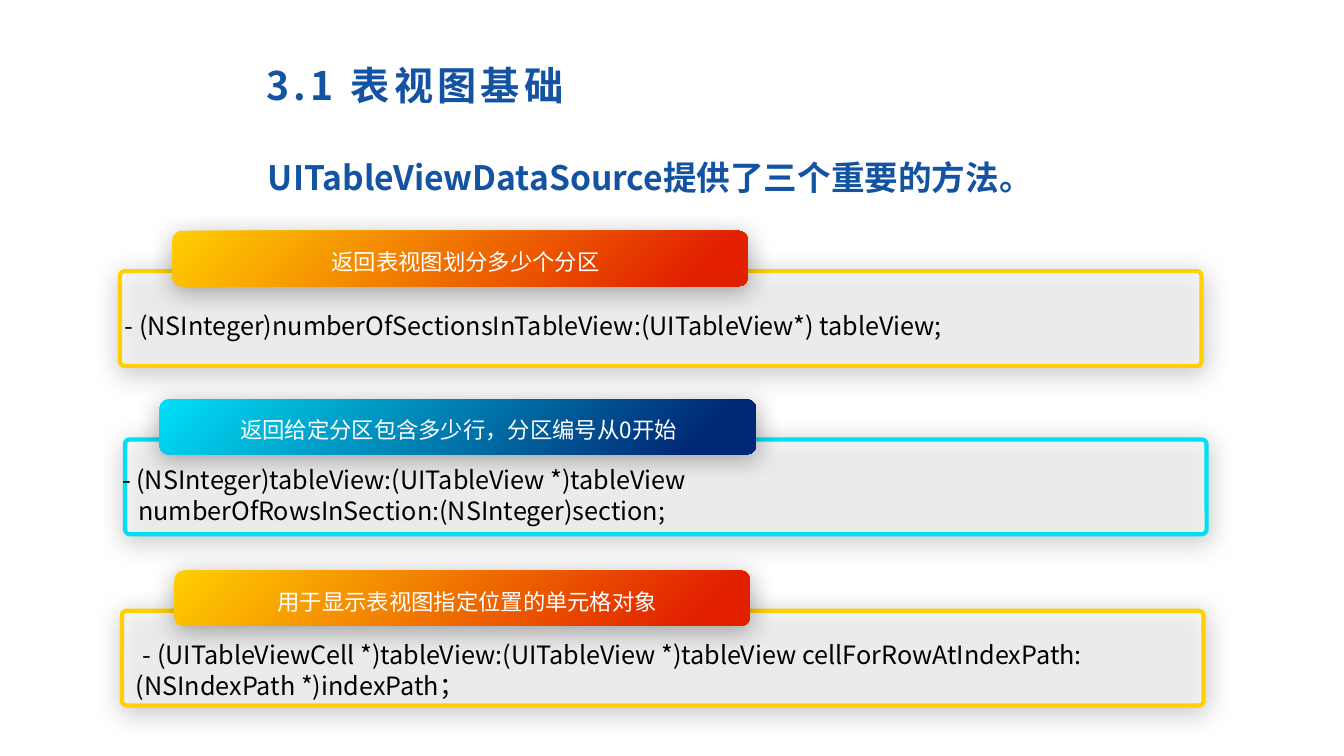
from lxml.etree import SubElement
from pptx import Presentation
from pptx.dml.color import RGBColor
from pptx.enum.shapes import MSO_SHAPE
from pptx.enum.text import MSO_ANCHOR, MSO_AUTO_SIZE, PP_ALIGN
from pptx.oxml.ns import qn
from pptx.util import Pt

FONT = "Noto Sans CJK SC"
WHITE = RGBColor(0xFF, 0xFF, 0xFF)
BLACK = RGBColor(0x00, 0x00, 0x00)
BLUE = RGBColor(0x13, 0x53, 0xA2)
YELLOW = RGBColor(0xFF, 0xCF, 0x01)
RED = RGBColor(0xE2, 0x20, 0x00)
CYAN = RGBColor(0x00, 0xDF, 0xF6)
NAVY = RGBColor(0x00, 0x27, 0x74)

HEADING = {"size": Pt(28), "bold": True, "color": BLUE}
SUBTITLE = {"size": Pt(24), "bold": True, "color": BLUE}
LABEL = {"size": Pt(16), "bold": False, "color": WHITE}
CODE = {"size": Pt(18), "bold": False, "color": BLACK}

FRAME_SIZE = (772.6, 67.7)
TAB_HEIGHT = 39.6
TAB_RISE = 28.8  # how far a tab stands above its frame
LABEL_DROP = 6

# Code lines are (first-line indent, text); label and code are (left, width).
METHODS = [
    {"frame": (85.7, 193.7), "tab": (123.1, 411.1), "colors": (YELLOW, RED),
     "label": (132.5, 400.3), "title": "返回表视图划分多少个分区",
     "code": (77, 813.6), "code_top": 217.4,
     "lines": [(5, "- (NSInteger)numberOfSectionsInTableView:(UITableView*) tableView;")]},
    {"frame": (89.3, 313.9), "tab": (113.8, 426.2), "colors": (CYAN, NAVY),
     "label": (75.2, 504.7), "title": "返回给定分区包含多少行，分区编号从0开始",
     "code": (75.6, 850.3), "code_top": 327.6,
     "lines": [(4.5, "- (NSInteger)tableView:(UITableView *)tableView"),
               (16, "numberOfRowsInSection:(NSInteger)section;")]},
    {"frame": (87.1, 436.3), "tab": (124.6, 411.1), "colors": (YELLOW, RED),
     "label": (74, 519.8), "title": "用于显示表视图指定位置的单元格对象",
     "code": (90, 753.8), "code_top": 452.9,
     "lines": [(5, "- (UITableViewCell *)tableView:(UITableView *)tableView "
                   "cellForRowAtIndexPath:(NSIndexPath *)indexPath；")]},
]


class SlideBuilder:
    def __init__(self, slide):
        self.slide = slide
        self.shapes = slide.shapes

    def start_group(self):
        self.shapes = self.slide.shapes.add_group_shape().shapes

    def add_run(self, p, text, style, spacing=0):
        """Add one styled run; spacing is the letter spacing in points."""
        r = p.add_run()
        r.text = text
        r.font.name = FONT
        for name, value in style.items():
            if name == "color":
                r.font.color.rgb = value
            else:
                setattr(r.font, name, value)
        rPr = r.font._element
        SubElement(rPr, qn("a:ea")).set("typeface", FONT)
        if spacing:
            rPr.set("spc", str(spacing * 100))

    def title(self, text, box):
        sp = self.slide.shapes.title
        for name, value in zip(("left", "top", "width", "height"), box):
            setattr(sp, name, Pt(value))
        tf = sp.text_frame
        tf.vertical_anchor = MSO_ANCHOR.MIDDLE
        tf.auto_size = MSO_AUTO_SIZE.NONE
        p = tf.paragraphs[0]
        p.alignment = PP_ALIGN.LEFT
        self.add_run(p, text, HEADING, spacing=3)

    def text(self, lines, box, style, leading, align=PP_ALIGN.LEFT, wrap=True):
        tf = self.shapes.add_textbox(*map(Pt, box)).text_frame
        tf.word_wrap = wrap
        tf.auto_size = MSO_AUTO_SIZE.SHAPE_TO_FIT_TEXT
        for i, (indent, line) in enumerate(lines):
            p = tf.add_paragraph() if i else tf.paragraphs[0]
            p.alignment = align
            p.line_spacing = Pt(leading)
            if indent:
                p._p.get_or_add_pPr().set("indent", str(Pt(indent)))
            self.add_run(p, line, style)

    def rounded(self, box):
        """Add a rounded rectangle with a soft shadow below it."""
        sp = self.shapes.add_shape(MSO_SHAPE.ROUNDED_RECTANGLE, *map(Pt, box))
        sp.shadow.inherit = False
        effects = sp._element.spPr.find(qn("a:effectLst"))
        shadow = SubElement(effects, qn("a:outerShdw"), blurRad=str(Pt(17.8)),
                            dist=str(Pt(3)), dir=str(87 * 60000), rotWithShape="0")
        color = SubElement(shadow, qn("a:srgbClr"), val=str(BLACK))
        SubElement(color, qn("a:alpha"), val="33000")
        return sp

    def frame(self, box, color):
        sp = self.rounded(box)
        sp.adjustments[0] = 0.05
        sp.fill.solid()
        sp.fill.fore_color.rgb = WHITE
        fill_color = sp._element.spPr.find(qn("a:solidFill"))[0]
        SubElement(fill_color, qn("a:alpha"), val="60000")
        sp.line.color.rgb = color
        sp.line.width = Pt(3)

    def tab(self, box, colors):
        sp = self.rounded(box)
        sp.line.fill.background()
        sp.fill.gradient()
        sp.fill.gradient_angle = 315
        for stop, color, position in zip(sp.fill.gradient_stops, colors, (0, 0.9)):
            stop.color.rgb = color
            stop.position = position

    def method(self, m):
        """Add a framed method signature with its tab and label."""
        self.start_group()
        left, top = m["frame"]
        tab_left, tab_width = m["tab"]
        label_left, label_width = m["label"]
        code_left, code_width = m["code"]
        tab_top = top - TAB_RISE
        self.frame((left, top, *FRAME_SIZE), m["colors"][0])
        self.tab((tab_left, tab_top, tab_width, TAB_HEIGHT), m["colors"])
        self.text([(0, m["title"])], (label_left, tab_top + LABEL_DROP, label_width, 29.2),
                  LABEL, 22, PP_ALIGN.CENTER)
        self.text(m["lines"], (code_left, m["code_top"], code_width, 29.2), CODE, 22)


def main():
    prs = Presentation()
    prs.slide_width, prs.slide_height = Pt(960), Pt(540)
    s = SlideBuilder(prs.slides.add_slide(prs.slide_layouts[5]))
    s.title("3.1 表视图基础", (182.9, 32.4, 611.3, 56.9))
    s.text([(0, "UITableViewDataSource提供了三个重要的方法。")],
           (184.3, 105.1, 555.8, 65.5), SUBTITLE, 32, wrap=False)
    for m in METHODS:
        s.method(m)
    prs.save("out.pptx")


if __name__ == "__main__":
    main()
